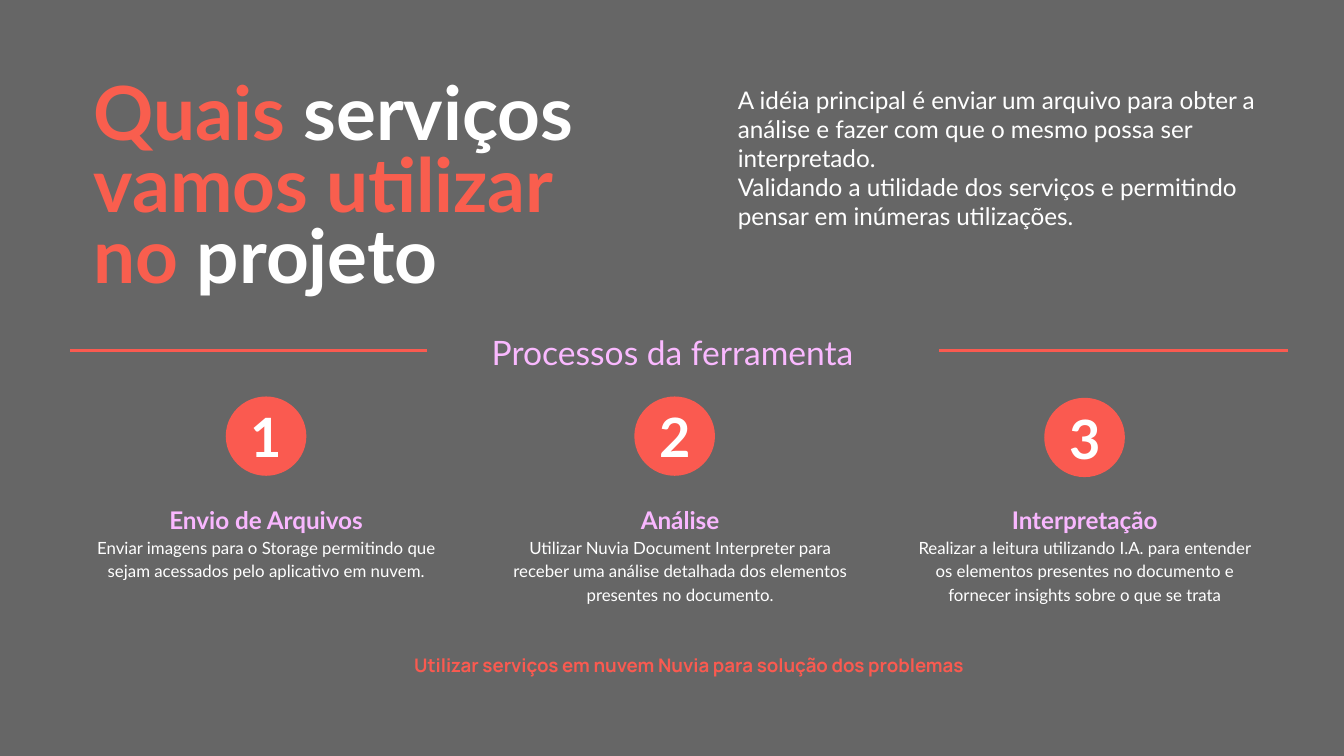
from pptx import Presentation
from pptx.dml.color import RGBColor
from pptx.enum.shapes import MSO_CONNECTOR, MSO_SHAPE
from pptx.enum.text import MSO_ANCHOR, PP_ALIGN
from pptx.oxml.ns import qn
from pptx.util import Inches, Pt
from lxml import etree

LEFT, CENTER = PP_ALIGN.LEFT, PP_ALIGN.CENTER
TOP, MIDDLE = MSO_ANCHOR.TOP, MSO_ANCHOR.MIDDLE
OVAL = MSO_SHAPE.OVAL
STRAIGHT = MSO_CONNECTOR.STRAIGHT

GRAY, WHITE, CORAL = "666666", "FFFFFF", "FA5A50"
TITLE_CORAL, LILAC, HEADING_LILAC = "F95E4E", "FAB9FF", "F9B7FF"

STEPS = [
    (1.68, 2.95, 0.61, "Envio de Arquivos",
     "Enviar imagens para o Storage permitindo que sejam acessados pelo aplicativo em nuvem."),
    (4.72, 2.95, 3.69, "Análise",
     "Utilizar Nuvia Document Interpreter para receber uma análise detalhada "
     "dos elementos presentes no documento."),
    (7.77, 2.96, 6.7, "Interpretação",
     "Realizar a leitura utilizando I.A. para entender os elementos presentes "
     "no documento e fornecer insights sobre o que se trata"),
]


def color(value):
    return RGBColor.from_string(value)


class SlideBuilder:
    font = "Lato"

    def __init__(self, slide):
        self.slide = slide
        slide.background.fill.solid()
        slide.background.fill.fore_color.rgb = color(GRAY)

    def style(self, paragraph, size, fill=WHITE, bold=False, font=None, align=LEFT, spacing=None):
        paragraph.alignment = align
        if spacing:
            paragraph.line_spacing = spacing
        paragraph.font.name = font or self.font
        paragraph.font.size = Pt(size)
        paragraph.font.bold = bold
        if fill:
            paragraph.font.color.rgb = color(fill)

    def frame(self, shape, anchor, horizontal, vertical):
        frame = shape.text_frame
        frame.word_wrap = True
        frame.vertical_anchor = anchor
        frame.margin_left = frame.margin_right = Inches(horizontal)
        frame.margin_top = frame.margin_bottom = Inches(vertical)
        return frame

    def text(self, box, paragraphs, anchor=TOP, margins=(0.1, 0.1)):
        shape = self.slide.shapes.add_textbox(*map(Inches, box))
        frame = self.frame(shape, anchor, *margins)
        for index, (content, style) in enumerate(paragraphs):
            paragraph = frame.add_paragraph() if index else frame.paragraphs[0]
            paragraph.text = content
            self.style(paragraph, **style)

    def title(self, box, parts):
        shape = self.slide.shapes.add_textbox(*map(Inches, box))
        paragraph = self.frame(shape, TOP, 0.1, 0.1).paragraphs[0]
        self.style(paragraph, 40, fill=None, bold=True, spacing=0.8)
        for content, fill in parts:
            run = paragraph.add_run()
            run.text = content
            run.font.color.rgb = color(fill)

    def badge(self, left, top, number):
        shape = self.slide.shapes.add_shape(
            OVAL, Inches(left), Inches(top), Inches(0.6), Inches(0.59))
        shape.shadow.inherit = False
        shape.fill.solid()
        shape.fill.fore_color.rgb = color(CORAL)
        shape.line.fill.background()
        paragraph = self.frame(shape, MIDDLE, 0.1, 0.1).paragraphs[0]
        paragraph.text = str(number)
        self.style(paragraph, 29, bold=True, align=CENTER)

    def rule(self, start, end, top):
        connector = self.slide.shapes.add_connector(
            STRAIGHT, Inches(start), Inches(top), Inches(end), Inches(top))
        connector.line.color.rgb = color(CORAL)
        connector.line.width = Pt(1.5)
        etree.SubElement(connector._element.spPr, qn("a:effectLst"))

    def step(self, number, badge_left, badge_top, text_left, heading, description):
        self.badge(badge_left, badge_top, number)
        shared = dict(align=CENTER, spacing=1.15)
        self.text((text_left, 3.63, 2.74, 1.13), [
            (heading, dict(size=13, fill=HEADING_LILAC, bold=True, **shared)),
            (description, dict(size=9, **shared)),
        ])


def main():
    presentation = Presentation()
    presentation.slide_width = Inches(10)
    presentation.slide_height = presentation.slide_width * 9 // 16
    builder = SlideBuilder(presentation.slides.add_slide(presentation.slide_layouts[6]))

    builder.title((0.6, 0.52, 4.34, 0.6), [
        ("Quais ", TITLE_CORAL), ("serviços ", WHITE),
        ("vamos utilizar no ", TITLE_CORAL), ("projeto", WHITE),
    ])
    builder.text((5.49, 0.57, 3.91, 1.21), [
        ("A idéia principal é enviar um arquivo para obter a análise e fazer "
         "com que o mesmo possa ser interpretado.", dict(size=13)),
        ("Validando a utilidade dos serviços e permitindo pensar em inúmeras utilizações.",
         dict(size=13)),
    ], MIDDLE, (0, 0))
    builder.text((1.32, 2.36, 7.37, 0.52), [
        ("Processos da ferramenta", dict(size=18, fill=LILAC, align=CENTER)),
    ], MIDDLE, (0, 0))
    for start, end in [(0.52, 3.18), (6.99, 9.58)]:
        builder.rule(start, end, 2.61)
    for number, step in enumerate(STEPS, 1):
        builder.step(number, *step)
    builder.text((0.81, 4.65, 8.63, 0.59), [
        ("Utilizar serviços em nuvem Nuvia para solução dos problemas",
         dict(size=10, fill=CORAL, bold=True, font="Manrope", align=CENTER)),
    ], MIDDLE, (0.1, 0.05))

    presentation.save("out.pptx")


if __name__ == "__main__":
    main()
